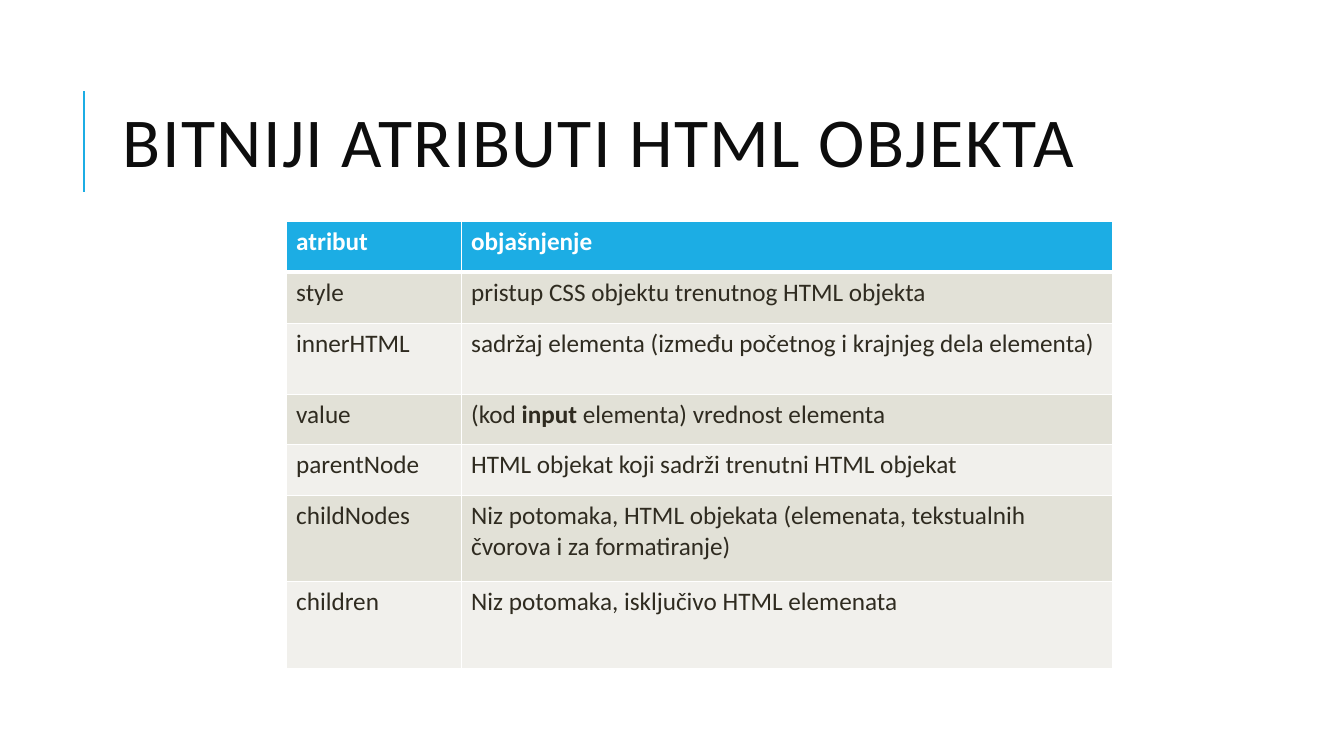
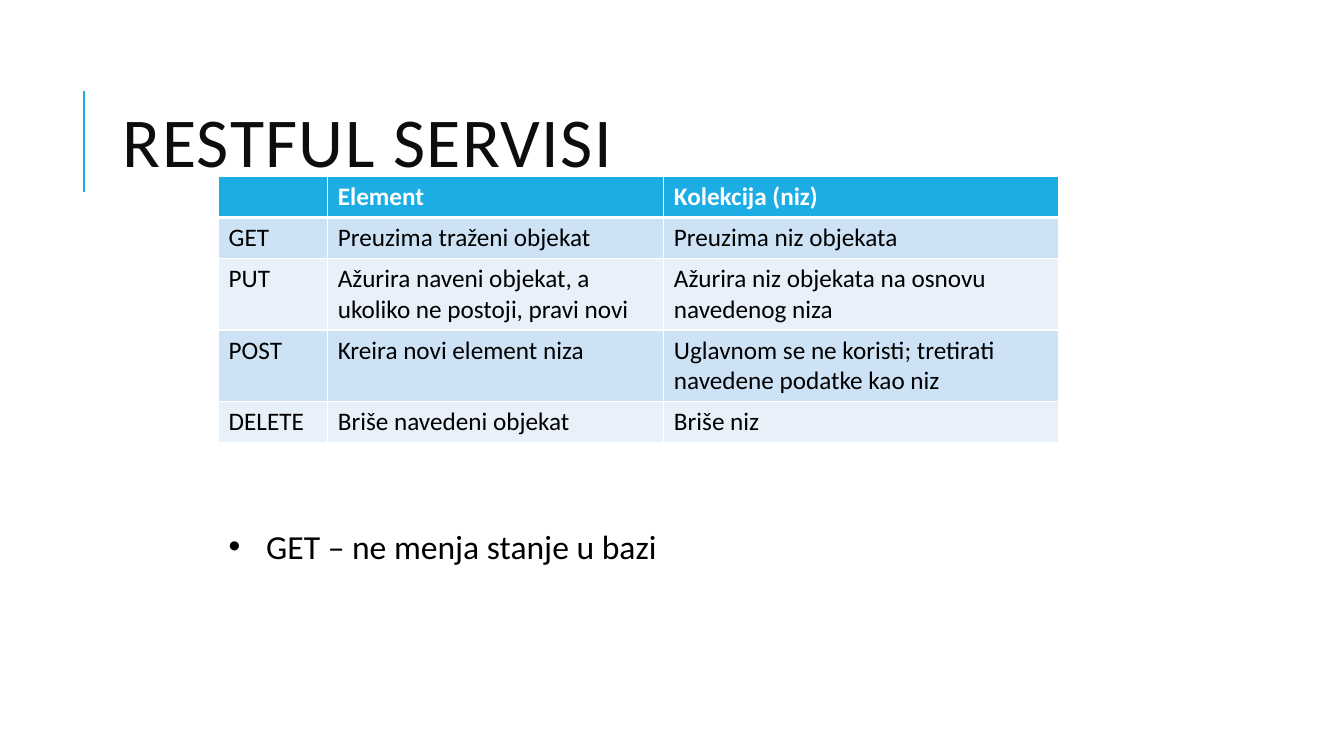
import pptx
import pptx.util
import pptx.dml.color
import pptx.enum.shapes
import pptx.enum.text
import pptx.oxml
import pptx.oxml.ns

Cm = pptx.util.Cm
Pt = pptx.util.Pt

FONT = "Calibri"
BLUE = "1CADE4"
WHITE = "FFFFFF"
BLACK = "000000"
INK = "0D0D0D"

PAGES = [
    {
        "title": "BITNIJI ATRIBUTI HTML OBJEKTA",
        "left": 7.21,
        "top": 5.59,
        "cols": [4.41, 16.43],
        "rows": [1.27, 1.29, 1.79, 1.27, 1.27, 2.18, 2.18],
        "bands": ["E2E1D7", "F1F0EC"],
        "ink": "2F2B20",
        "cells": [
            ["atribut", "objašnjenje"],
            ["style", "pristup CSS objektu trenutnog HTML objekta"],
            ["innerHTML", "sadržaj elementa (između početnog i krajnjeg dela elementa)"],
            ["value", [("(kod ", False), ("input", True), (" elementa) vrednost elementa", False)]],
            ["parentNode", "HTML objekat koji sadrži trenutni HTML objekat"],
            ["childNodes", "Niz potomaka, HTML objekata (elemenata, tekstualnih čvorova i za formatiranje)"],
            ["children", "Niz potomaka, isključivo HTML elemenata"],
        ],
        "points": [],
    },
    {
        "title": "RESTFUL SERVISI",
        "left": 5.51,
        "top": 4.45,
        "cols": [2.75, 8.47, 9.95],
        "rows": [1.03] * 5,
        "bands": ["CDE3F5", "E8F1FA"],
        "ink": BLACK,
        "cells": [
            ["", "Element", "Kolekcija (niz)"],
            ["GET", "Preuzima traženi objekat", "Preuzima niz objekata"],
            ["PUT", "Ažurira naveni objekat, a ukoliko ne postoji, pravi novi",
             "Ažurira niz objekata na osnovu navedenog niza"],
            ["POST", "Kreira novi element niza",
             "Uglavnom se ne koristi; tretirati navedene podatke kao niz"],
            ["DELETE", "Briše navedeni objekat", "Briše niz"],
        ],
        "points": ["GET – ne menja stanje u bazi"],
    },
]


def color(code):
    return pptx.dml.color.RGBColor.from_string(code)


def node(text):
    head, tail = text.split(" ", 1)
    return pptx.oxml.parse_xml(f"<{head} {pptx.oxml.ns.nsdecls('a')} {tail}")


def add_run(para, text, size, ink, bold=False):
    run = para.add_run()
    run.text = text
    run.font.name = FONT
    run.font.size = Pt(size)
    run.font.bold = bold
    run.font.color.rgb = color(ink)
    return run


def add_bar(slide):
    bar = slide.shapes.add_connector(
        pptx.enum.shapes.MSO_CONNECTOR.STRAIGHT, Cm(2.12), Cm(4.83), Cm(2.12), Cm(2.3))
    bar.line.color.rgb = color(BLUE)
    bar.line.width = Pt(1.5)
    bar.element.spPr.append(node("a:effectLst />"))


def add_title(slide, text):
    title = slide.shapes.title
    title.left, title.top, title.width, title.height = Cm(2.84), Cm(1.63), Cm(27), Cm(4.17)
    frame = title.text_frame
    frame.word_wrap = True
    frame.auto_size = pptx.enum.text.MSO_AUTO_SIZE.NONE
    frame.vertical_anchor = pptx.enum.text.MSO_ANCHOR.MIDDLE
    para = frame.paragraphs[0]
    para.alignment = pptx.enum.text.PP_ALIGN.LEFT
    para.line_spacing = 0.8
    run = add_run(para, text, 50, INK)
    run.font._element.set("spc", "100")


def set_edges(cell, row):
    thick = {"T": 3 if row == 1 else 1, "B": 3 if row == 0 else 1}
    props = cell._tc.get_or_add_tcPr()
    for spot, side in enumerate("LRTB"):
        width = Pt(thick.get(side, 1))
        props.insert(spot, node(
            f'a:ln{side} w="{width}"><a:solidFill><a:srgbClr val="{WHITE}"/>'
            f"</a:solidFill></a:ln{side}>"))


def add_grid(slide, page):
    cols, rows = page["cols"], page["rows"]
    grid = slide.shapes.add_table(
        len(rows), len(cols), Cm(page["left"]), Cm(page["top"]),
        Cm(sum(cols)), Cm(sum(rows))).table
    grid.horz_banding = False
    for col, width in zip(grid.columns, cols):
        col.width = Cm(width)
    for r, line in enumerate(page["cells"]):
        grid.rows[r].height = Cm(rows[r])
        head = r == 0
        fill = BLUE if head else page["bands"][(r - 1) % 2]
        ink = WHITE if head else page["ink"]
        for c, text in enumerate(line):
            cell = grid.cell(r, c)
            cell.fill.solid()
            cell.fill.fore_color.rgb = color(fill)
            set_edges(cell, r)
            parts = [(text, head)] if isinstance(text, str) else text
            for part, bold in parts:
                if part:
                    add_run(cell.text_frame.paragraphs[0], part, 18, ink, bold)


def add_points(slide, points, left):
    box = slide.shapes.add_textbox(Cm(left), Cm(13.13), Cm(21.39), Cm(3.33))
    frame = box.text_frame
    frame.word_wrap = True
    for i, text in enumerate(points):
        para = frame.add_paragraph() if i else frame.paragraphs[0]
        props = para._p.get_or_add_pPr()
        props.set("marL", str(Cm(0.95)))
        props.set("indent", str(-Cm(0.95)))
        props.append(node('a:buFont typeface="Arial"/>'))
        props.append(node('a:buChar char="•"/>'))
        add_run(para, text, 24, BLACK)


def main():
    deck = pptx.Presentation()
    deck.slide_width, deck.slide_height = Cm(33.87), Cm(19.05)
    for page in PAGES:
        slide = deck.slides.add_slide(deck.slide_layouts[5])
        add_bar(slide)
        add_title(slide, page["title"])
        add_grid(slide, page)
        if page["points"]:
            add_points(slide, page["points"], page["left"])
    deck.save("out.pptx")


if __name__ == "__main__":
    main()
